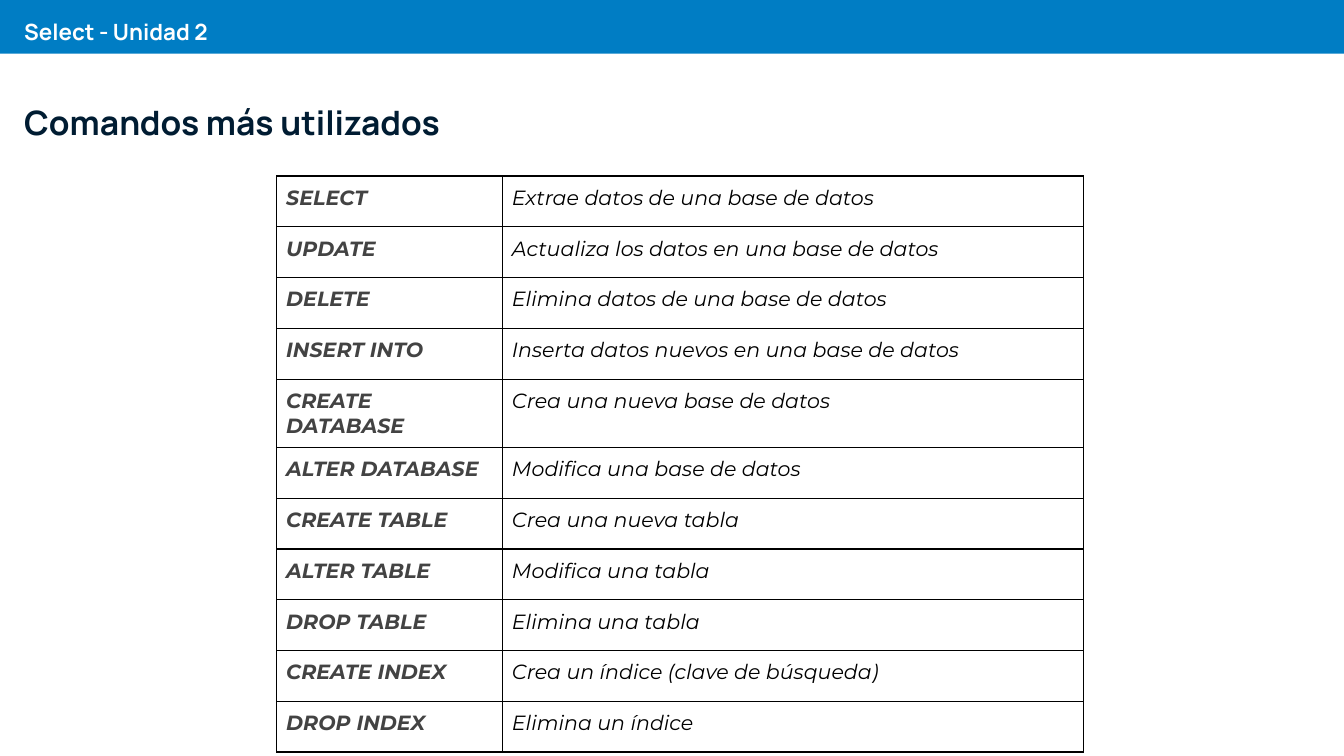
from lxml.etree import SubElement
from pptx import Presentation
from pptx.dml.color import RGBColor
from pptx.enum.shapes import MSO_SHAPE
from pptx.enum.text import MSO_ANCHOR, PP_ALIGN
from pptx.oxml.ns import qn
from pptx.util import Inches, Pt

COLORS = {
    "band": "007DC4",
    "white": "FFFFFF",
    "heading": "001C32",
    "command": "434343",
    "black": "000000",
}
HEADING = {"name": "Manrope", "bold": True}
CELL = {"name": "Montserrat", "size": Pt(11), "italic": True}
HEADING_MARGINS = {
    "margin_left": Inches(0.07),
    "margin_right": Inches(0.07),
    "margin_top": Inches(0.04),
    "margin_bottom": Inches(0.04),
    "word_wrap": True,
}
CELL_MARGINS = {
    f"margin_{side}": Inches(0.07) for side in ("left", "right", "top", "bottom")
}
COMMANDS = [
    ("SELECT", "Extrae datos de una base de datos"),
    ("UPDATE", "Actualiza los datos en una base de datos"),
    ("DELETE", "Elimina datos de una base de datos"),
    ("INSERT INTO", "Inserta datos nuevos en una base de datos"),
    ("CREATE DATABASE", "Crea una nueva base de datos"),
    ("ALTER DATABASE", "Modifica una base de datos"),
    ("CREATE TABLE", "Crea una nueva tabla"),
    ("ALTER TABLE", "Modifica una tabla"),
    ("DROP TABLE", "Elimina una tabla"),
    ("CREATE INDEX", "Crea un índice (clave de búsqueda)"),
    ("DROP INDEX", "Elimina un índice"),
]
TABLE_HEIGHT = Inches(4.27)
TALL_ROW = Inches(0.49)
ROW = (TABLE_HEIGHT - TALL_ROW) // (len(COMMANDS) - 1)


def write_text(text_frame, text, color, font_values, **paragraph_values):
    """Fill the first paragraph with one formatted run."""
    paragraph = text_frame.paragraphs[0]
    for name, value in paragraph_values.items():
        setattr(paragraph, name, value)
    run = paragraph.add_run()
    run.text = text
    for name, value in font_values.items():
        setattr(run.font, name, value)
    run.font.color.rgb = RGBColor.from_string(COLORS[color])


def add_borders(cell):
    properties = cell._tc.get_or_add_tcPr()
    for side in ("a:lnL", "a:lnR", "a:lnT", "a:lnB"):
        line = SubElement(properties, qn(side), w=str(Pt(0.75)))
        fill = SubElement(line, qn("a:solidFill"))
        SubElement(fill, qn("a:srgbClr"), val=COLORS["black"])


presentation = Presentation()
presentation.slide_width = Inches(10)
presentation.slide_height = presentation.slide_width * 9 // 16
slide = presentation.slides.add_slide(presentation.slide_layouts[5])

# Header band, placed behind the title
band = slide.shapes.add_shape(
    MSO_SHAPE.RECTANGLE, 0, 0, presentation.slide_width, Inches(0.4)
)
band.shadow.inherit = False
band.fill.solid()
band.fill.fore_color.rgb = RGBColor.from_string(COLORS["band"])
band.line.fill.background()
title = slide.shapes.title
title.element.addprevious(band.element)

# Title and subtitle share left edge, size and margins
subtitle = slide.shapes.add_textbox(0, 0, 0, 0)
headings = [
    (title, 0.05, "Select - Unidad 2", 12, "white", MSO_ANCHOR.MIDDLE),
    (subtitle, 0.75, "Comandos más utilizados", 18, "heading", MSO_ANCHOR.TOP),
]
for shape, top, text, size, color, anchor in headings:
    shape.left, shape.top = Inches(0.11), Inches(top)
    shape.width, shape.height = Inches(5.89), Inches(0.4)
    for name, value in HEADING_MARGINS.items():
        setattr(shape.text_frame, name, value)
    shape.text_frame.vertical_anchor = anchor
    write_text(
        shape.text_frame, text, color, {**HEADING, "size": Pt(size)},
        alignment=PP_ALIGN.LEFT, line_spacing=0.9,
    )

# Command table
table = slide.shapes.add_table(
    len(COMMANDS), 2, Inches(2.06), Inches(1.31), Inches(6), TABLE_HEIGHT
).table
table.first_row = False
table.horz_banding = False
for column, width in zip(table.columns, (1.68, 4.32)):
    column.width = Inches(width)

for row, texts in zip(table.rows, COMMANDS):
    row.height = TALL_ROW if texts[0] == "CREATE DATABASE" else ROW
    for cell, text, color, bold in zip(
        row.cells, texts, ("command", "black"), (True, False)
    ):
        for name, value in CELL_MARGINS.items():
            setattr(cell, name, value)
        add_borders(cell)
        cell.fill.background()
        write_text(
            cell.text_frame, text, color, {**CELL, "bold": bold},
            alignment=PP_ALIGN.JUSTIFY,
        )

presentation.save("out.pptx")
